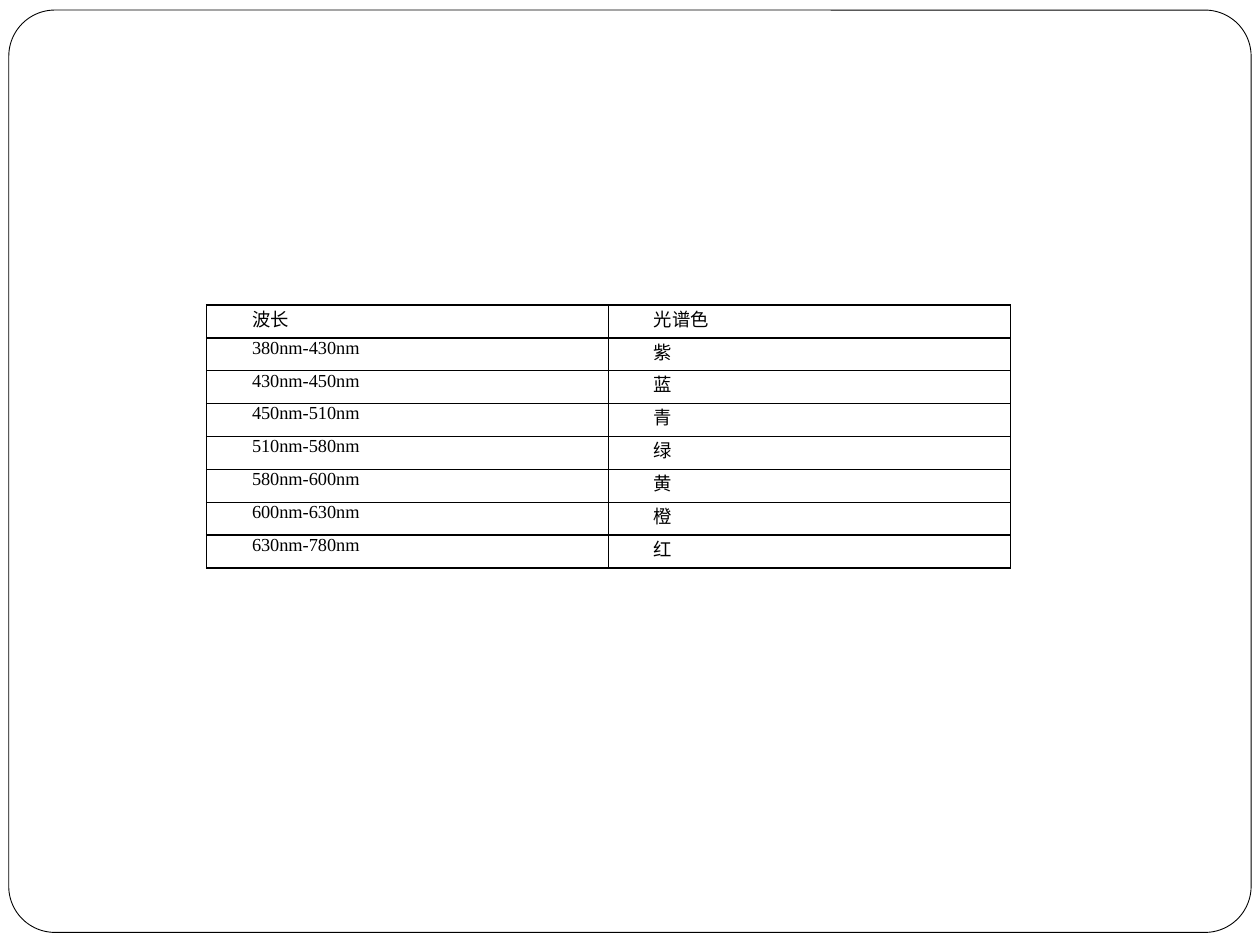
from lxml import etree
from pptx import Presentation
from pptx.dml.color import RGBColor
from pptx.enum.shapes import MSO_SHAPE
from pptx.enum.text import PP_ALIGN
from pptx.oxml.ns import qn
from pptx.util import Inches, Pt

FONT = "Times New Roman"
BLACK = "000000"
WHITE = "FFFFFF"
SPECTRUM = [
    ("波长", "光谱色"),
    ("380nm-430nm", "紫"),
    ("430nm-450nm", "蓝"),
    ("450nm-510nm", "青"),
    ("510nm-580nm", "绿"),
    ("580nm-600nm", "黄"),
    ("600nm-630nm", "橙"),
    ("630nm-780nm", "红"),
]


def color(hex_string):
    return RGBColor.from_string(hex_string)


def add_frame(slide, left, top, width, height):
    frame = slide.shapes.add_shape(
        MSO_SHAPE.ROUNDED_RECTANGLE,
        Inches(left), Inches(top), Inches(width), Inches(height))
    frame.adjustments[0] = 0.05
    frame.shadow.inherit = False
    frame.fill.solid()
    frame.fill.fore_color.rgb = color(WHITE)
    frame.line.color.rgb = color(BLACK)
    frame.line.width = Pt(0.5)


def add_borders(cell, hex_string, width):
    properties = cell._tc.get_or_add_tcPr()
    for position, side in enumerate(("lnL", "lnR", "lnT", "lnB")):
        line = etree.Element(qn(f"a:{side}"), w=str(Pt(width)))
        fill = etree.SubElement(line, qn("a:solidFill"))
        etree.SubElement(fill, qn("a:srgbClr"), val=hex_string)
        properties.insert(position, line)  # borders precede the cell fill


def format_cell(cell, text):
    cell.fill.background()
    cell.margin_left = cell.margin_right = Inches(0.07)
    cell.margin_top = cell.margin_bottom = 0
    add_borders(cell, BLACK, 1)
    cell.text = text
    paragraph = cell.text_frame.paragraphs[0]
    paragraph.alignment = PP_ALIGN.JUSTIFY
    paragraph._p.get_or_add_pPr().set("indent", str(Inches(0.29)))
    paragraph.font.name = FONT
    paragraph.font.size = Pt(10.5)
    paragraph.font.bold = False
    paragraph.font.color.rgb = color(BLACK)


def add_spectrum_table(slide, left, top, width, height):
    table = slide.shapes.add_table(
        len(SPECTRUM), len(SPECTRUM[0]),
        Inches(left), Inches(top), Inches(width), Inches(height)).table
    table.first_row = table.horz_banding = False
    for row, texts in zip(table.rows, SPECTRUM):
        for cell, text in zip(row.cells, texts):
            format_cell(cell, text)


def main():
    presentation = Presentation()
    presentation.slide_width = Inches(10)
    presentation.slide_height = Inches(7.5)
    slide = presentation.slides.add_slide(presentation.slide_layouts[6])
    add_frame(slide, 0.07, 0.08, 9.86, 7.32)
    add_spectrum_table(slide, 1.64, 2.42, 6.38, 2.09)
    presentation.save("out.pptx")


if __name__ == "__main__":
    main()
